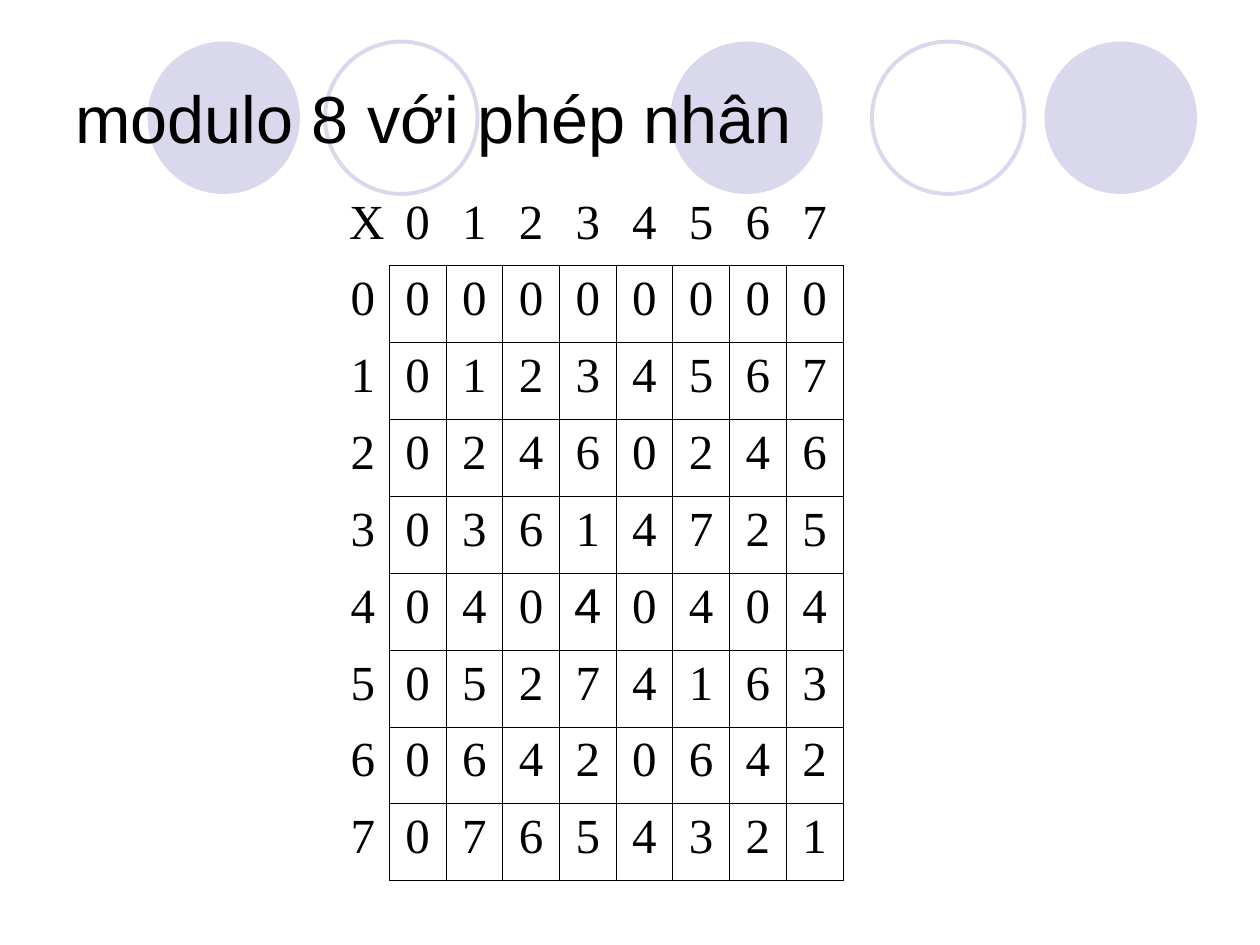
"""Build a slide with the multiplication table modulo 8."""
from dataclasses import dataclass

from lxml.etree import SubElement
from pptx import Presentation
from pptx.dml.color import RGBColor as Rgb
from pptx.enum.shapes import MSO_SHAPE as Shape
from pptx.enum.text import MSO_ANCHOR as Anchor, PP_ALIGN as Align
from pptx.oxml.ns import qn
from pptx.util import Inches, Pt


@dataclass(frozen=True)
class Theme:
    """Colours, fonts and sizes used on the slide."""
    ink: Rgb = Rgb(0, 0, 0)
    lilac: Rgb = Rgb(0xD9, 0xD8, 0xEC)
    title_font: str = "Arial"
    number_font: str = "Times New Roman"
    title_size: int = 38
    number_size: int = 28
    ring_width: float = 2.25
    grid_width: float = 0.45


THEME = Theme()
MODULUS = 8
CIRCLE_SIZE, CIRCLE_TOP = 1.21, 0.33
CIRCLES = [(5.32, True), (8.29, True), (1.17, True), (6.92, False), (2.58, False)]
LABEL_WIDTH, VALUE_WIDTH, ROW_HEIGHT = 0.42, 0.45, 0.61
ARIAL_PRODUCT = (4, 3)


def apply_format(target, values):
    """Set each named attribute of the target."""
    for name, value in values.items():
        setattr(target, name, value)


def write(frame, words, font, size, paragraph_format):
    """Write one formatted paragraph into a text frame."""
    paragraph = frame.paragraphs[0]
    apply_format(paragraph, paragraph_format)
    run = paragraph.add_run()
    run.text = words
    apply_format(run.font, {"name": font, "size": Pt(size)})
    run.font.color.rgb = THEME.ink


def add_circle(slide, left, filled):
    """Add a filled disc or an open ring to the header band."""
    circle = slide.shapes.add_shape(
        Shape.OVAL, Inches(left), Inches(CIRCLE_TOP), Inches(CIRCLE_SIZE), Inches(CIRCLE_SIZE))
    circle.shadow.inherit = False
    if filled:
        circle.fill.solid()
        circle.fill.fore_color.rgb = THEME.lilac
        circle.line.fill.background()
    else:
        circle.fill.background()
        circle.line.color.rgb = THEME.lilac
        circle.line.width = Pt(THEME.ring_width)


def add_title(slide, words):
    """Add the slide title over the circles."""
    title = slide.shapes.add_textbox(Inches(0.5), Inches(0.3), Inches(9), Inches(1.25))
    apply_format(title.text_frame, {"word_wrap": True, "vertical_anchor": Anchor.MIDDLE})
    write(title.text_frame, words, THEME.title_font, THEME.title_size, {"alignment": Align.LEFT})


def set_borders(cell, ruled_sides):
    """Rule the given sides of a cell and clear the others."""
    properties = cell._tc.get_or_add_tcPr()
    for side in "LRTB":
        border = SubElement(properties, qn(f"a:ln{side}"), w=str(Pt(THEME.grid_width)))
        if side in ruled_sides:
            fill = SubElement(border, qn("a:solidFill"))
            SubElement(fill, qn("a:srgbClr"), val=str(THEME.ink))
        else:
            SubElement(border, qn("a:noFill"))


def fill_cell(cell, row, column):
    """Write a factor or a product and rule the product grid."""
    factors = (row - 1, column - 1)
    if row and column:
        words, sides = str(factors[0] * factors[1] % MODULUS), "LRTB"
    elif row:
        words, sides = str(factors[0]), "R"
    elif column:
        words, sides = str(factors[1]), "B"
    else:
        words, sides = "X", ""
    set_borders(cell, sides)
    cell.fill.background()
    apply_format(cell, {"margin_left": Inches(0.1), "margin_right": Inches(0.1),
                        "margin_top": Inches(0.05), "margin_bottom": Inches(0.05),
                        "vertical_anchor": Anchor.TOP})
    font = THEME.title_font if factors == ARIAL_PRODUCT else THEME.number_font
    write(cell.text_frame, words, font, THEME.number_size,
          {"alignment": Align.CENTER, "space_after": Pt(3)})


def add_products(slide):
    """Add the table of products modulo 8."""
    count = MODULUS + 1
    products = slide.shapes.add_table(
        count, count, Inches(2.67), Inches(1.5),
        Inches(LABEL_WIDTH + MODULUS * VALUE_WIDTH), Inches(count * ROW_HEIGHT)).table
    apply_format(products, {"first_row": False, "horz_banding": False})
    for index in range(count):
        products.columns[index].width = Inches(VALUE_WIDTH if index else LABEL_WIDTH)
        products.rows[index].height = Inches(ROW_HEIGHT)
    for row in range(count):
        for column in range(count):
            fill_cell(products.cell(row, column), row, column)


def main():
    """Build and save the slide."""
    deck = Presentation()
    apply_format(deck, {"slide_width": Inches(10), "slide_height": Inches(7.5)})
    slide = deck.slides.add_slide(deck.slide_layouts[6])
    for left, filled in CIRCLES:
        add_circle(slide, left, filled)
    add_title(slide, "modulo 8 với phép nhân")
    add_products(slide)
    deck.save("out.pptx")


if __name__ == "__main__":
    main()
